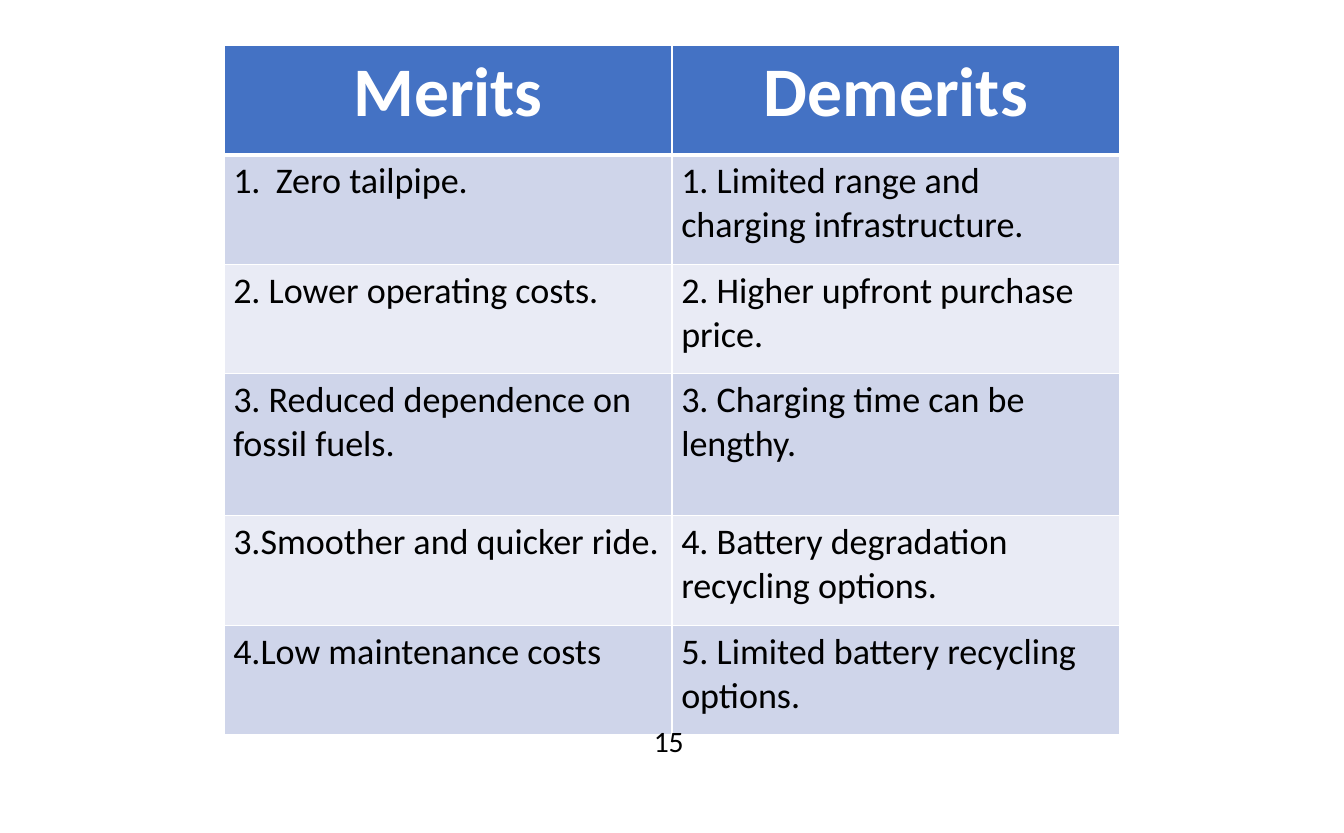
from lxml import etree
from pptx import Presentation
from pptx.dml.color import RGBColor
from pptx.enum.text import PP_ALIGN
from pptx.oxml.ns import qn
from pptx.util import Inches, Pt

CENTER, LEFT = PP_ALIGN.CENTER, PP_ALIGN.LEFT

# Content
HEADINGS = ("Merits", "Demerits")
POINTS = [
    ("1.\tZero tailpipe.", "1. Limited range and charging infrastructure."),
    ("2. Lower operating costs.", "2. Higher upfront purchase price."),
    ("3. Reduced dependence on fossil fuels.", "3. Charging time can be lengthy."),
    ("3.Smoother and quicker ride.", "4. Battery degradation recycling options."),
    ("4.Low maintenance costs", "5. Limited battery recycling options."),
]
PAGE_NUMBER = "15"

# Style and grid
FONT = "Calibri"
WHITE, BLACK, HEADER_BLUE = "FFFFFF", "000000", "4472C4"
BANDS = ("CFD5EA", "E9EBF5")
SLIDE_W, SLIDE_H = 14.49, 8.98
COLUMN_W, ROW_H, TALL_ROW_H, TALL_ROW = 4.83, 1.18, 1.53, 3
TABLE_TOP = 0.49
NUMBER_GAP = 0.46


def color(code):
    return RGBColor.from_string(code)


def write(paragraph, text, size, code, bold=False, align=LEFT):
    paragraph.alignment = align
    run = paragraph.add_run()
    run.text = text
    run.font.name, run.font.size, run.font.bold = FONT, Pt(size), bold
    run.font.color.rgb = color(code)


def add_tab_stop(paragraph, inches):
    stops = etree.SubElement(paragraph._p.get_or_add_pPr(), qn("a:tabLst"))
    etree.SubElement(stops, qn("a:tab"), pos=str(Inches(inches)), algn="l")


def set_borders(cell, top, bottom):
    properties = cell._tc.get_or_add_tcPr()
    sides = (("lnL", 1), ("lnR", 1), ("lnT", top), ("lnB", bottom))
    for place, (side, width) in enumerate(sides):
        line = etree.Element(qn("a:" + side), w=str(Pt(width)))
        fill = etree.SubElement(line, qn("a:solidFill"))
        etree.SubElement(fill, qn("a:srgbClr"), val=WHITE)
        properties.insert(place, line)


prs = Presentation()
prs.slide_width, prs.slide_height = Inches(SLIDE_W), Inches(SLIDE_H)
slide = prs.slides.add_slide(prs.slide_layouts[6])

# Comparison table, centred across the slide
rows = [HEADINGS, *POINTS]
heights = [TALL_ROW_H if r == TALL_ROW else ROW_H for r in range(len(rows))]
table_w = COLUMN_W * len(HEADINGS)
table = slide.shapes.add_table(
    len(rows), len(HEADINGS), Inches((SLIDE_W - table_w) / 2), Inches(TABLE_TOP),
    Inches(table_w), Inches(sum(heights))).table
for column in table.columns:
    column.width = Inches(COLUMN_W)

for r, (row, height) in enumerate(zip(rows, heights)):
    table.rows[r].height = Inches(height)
    for c, text in enumerate(row):
        cell = table.cell(r, c)
        paragraph = cell.text_frame.paragraphs[0]
        cell.fill.solid()
        if r == 0:
            cell.fill.fore_color.rgb = color(HEADER_BLUE)
            write(paragraph, text, 54, WHITE, True, CENTER)
        else:
            cell.fill.fore_color.rgb = color(BANDS[(r - 1) % 2])
            if "\t" in text:
                add_tab_stop(paragraph, NUMBER_GAP)
            write(paragraph, text, 28, BLACK)
        set_borders(cell, 3 if r == 1 else 1, 3 if r == 0 else 1)

# Page number
page_box = slide.shapes.add_textbox(Inches(6.95), Inches(7.74), Inches(0.58), Inches(0.49))
page_box.text_frame.word_wrap = True
write(page_box.text_frame.paragraphs[0], PAGE_NUMBER, 23, BLACK)

prs.save("out.pptx")
